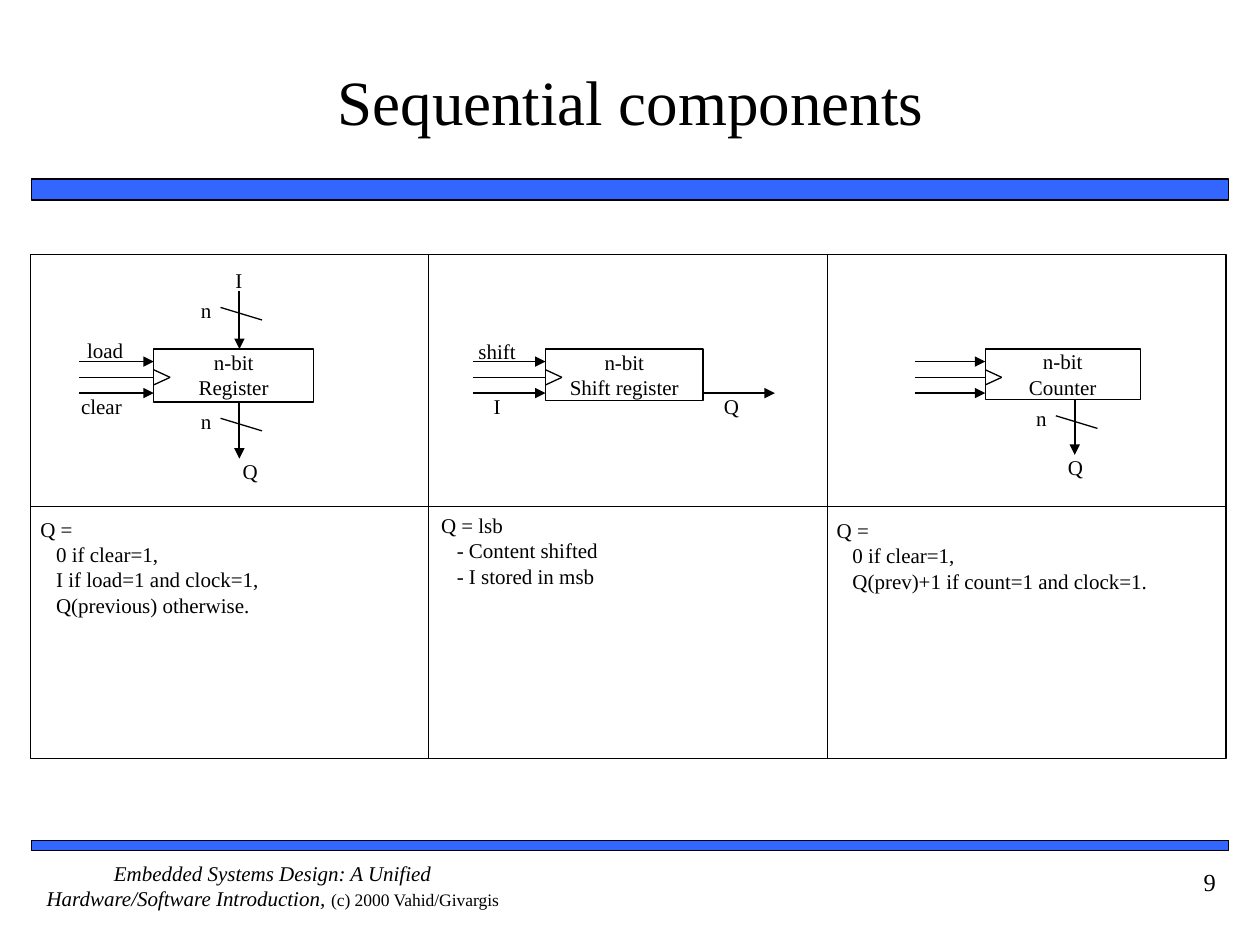
from pptx import Presentation
from pptx.dml.color import RGBColor
from pptx.enum.shapes import MSO_CONNECTOR, MSO_SHAPE
from pptx.enum.text import MSO_ANCHOR, PP_ALIGN
from pptx.oxml.ns import qn
from pptx.util import Inches, Pt
from lxml.etree import SubElement

BLACK = RGBColor(0x00, 0x00, 0x00)
WHITE = RGBColor(0xFF, 0xFF, 0xFF)
BLUE = RGBColor(0x33, 0x66, 0xFF)
FONT = "Times New Roman"
LEFT, TOP, COL, ROW = 0.24, 2.02, 9.49 / 3, 2
BOX_TOP = 2.77

prs = Presentation()
prs.slide_width, prs.slide_height = Inches(10), Inches(7.5)
s = prs.slides.add_slide(prs.slide_layouts[5])


def add_box(x, y, w, h, lines=(), fill=None, width=None, align=PP_ALIGN.CENTER, size=12):
    at = [Inches(v) for v in (x, y, w, h)]
    if width:
        sp = s.shapes.add_shape(MSO_SHAPE.RECTANGLE, *at)
        sp.shadow.inherit = False
        sp.line.color.rgb = BLACK
        sp.line.width = Pt(width)
        if fill is None:
            sp.fill.background()
        else:
            sp.fill.solid()
            sp.fill.fore_color.rgb = fill
    else:
        sp = s.shapes.add_textbox(*at)
    tf = sp.text_frame
    tf.word_wrap = True
    tf.vertical_anchor = MSO_ANCHOR.TOP
    tf.margin_left = tf.margin_right = tf.margin_top = tf.margin_bottom = 0
    tf.text = "\n".join(lines)
    for p in tf.paragraphs:
        p.alignment = align
        p.font.name, p.font.size, p.font.color.rgb = FONT, Pt(size), BLACK
    return sp


def add_line(x1, y1, x2, y2, width=0.75, arrow=False):
    c = s.shapes.add_connector(MSO_CONNECTOR.STRAIGHT, *[Inches(v) for v in (x1, y1, x2, y2)])
    c.line.color.rgb = BLACK
    c.line.width = Pt(width)
    if arrow:
        SubElement(c.line._get_or_add_ln(), qn("a:tailEnd"), type="triangle")
    SubElement(c._element.spPr, qn("a:effectLst"))


for y, h in ((1.42, 0.17), (6.67, 0.08)):
    add_box(0.25, y, 9.5, h, fill=BLUE, width=1)

title = s.shapes.title
title.left, title.top, title.width, title.height = [Inches(v) for v in (0.42, 0.17, 9.17, 1.25)]
tf = title.text_frame
tf.margin_left = tf.margin_right = 0
tf.vertical_anchor = MSO_ANCHOR.MIDDLE
tf.text = "Sequential components"
p = tf.paragraphs[0]
p.alignment = PP_ALIGN.CENTER
p.font.name, p.font.size, p.font.color.rgb = FONT, Pt(36), BLACK

for row in range(2):
    for col in range(3):
        add_box(LEFT + col * COL, TOP + row * ROW, COL, ROW, width=0.75)

behaviours = [
    (0.32, 4.1, ["Q =", "0 if clear=1,", "I if load=1 and clock=1,", "Q(previous) otherwise."]),
    (3.5, 4.07, ["Q = lsb", "- Content shifted", "- I stored in msb"]),
    (6.64, 4.11, ["Q =", "0 if clear=1,", "Q(prev)+1 if count=1 and clock=1."]),
]
for x, y, lines in behaviours:
    sp = add_box(x, y, 2.98, 1.74, lines, align=PP_ALIGN.LEFT)
    for p in sp.text_frame.paragraphs[1:]:
        p._p.get_or_add_pPr().set("marL", str(Inches(0.125)))

components = [
    (0.63, 1.22, 1.27, 0.42, "Register"),
    (3.75, 4.33, 1.25, 0.41, "Shift register"),
    (7.26, 7.82, 1.23, 0.4, "Counter"),
]
for start, x, w, h, name in components:
    add_box(x, BOX_TOP, w, h, ["n-bit", name], fill=WHITE, width=0.75)
    clock = BOX_TOP + 0.225
    for y in (clock - 0.125, clock + 0.125):
        add_line(start, y, x, y, arrow=True)
    add_line(start, clock, x, clock)
    add_line(x, clock - 0.06, x + 0.13, clock)
    add_line(x + 0.13, clock, x, clock + 0.06)

for x, y, length in ((1.9, 2.31, 0.46), (1.9, 3.19, 0.45), (8.53, 3.17, 0.44)):
    add_line(x, y, x, y + length, width=1.25, arrow=True)
    add_line(x - 0.15, y + 0.13, x + 0.18, y + 0.23)
    add_box(x - 0.34, y + 0.05, 0.15, 0.19, ["n"])
add_line(5.57, 3.12, 6.15, 3.12, arrow=True)

labels = [
    ("load", 0.64, 2.68), ("clear", 0.61, 3.12), ("I", 1.7, 2.12), ("Q", 1.79, 3.64),
    ("shift", 3.75, 2.69), ("I", 3.75, 3.12), ("Q", 5.61, 3.12), ("Q", 8.34, 3.61),
]
for label, x, y in labels:
    add_box(x, y, 0.39, 0.19, [label])

sp = add_box(0.25, 6.83, 3.83, 0.5, ["Embedded Systems Design: A Unified Hardware/Software Introduction, "])
p = sp.text_frame.paragraphs[0]
p.runs[0].font.italic = True
r = p.add_run()
r.text = "(c) 2000 Vahid/Givargis"
r.font.size = Pt(10)

add_box(8.75, 6.88, 0.9, 0.4, ["9"], align=PP_ALIGN.RIGHT, size=14)

prs.save("out.pptx")
